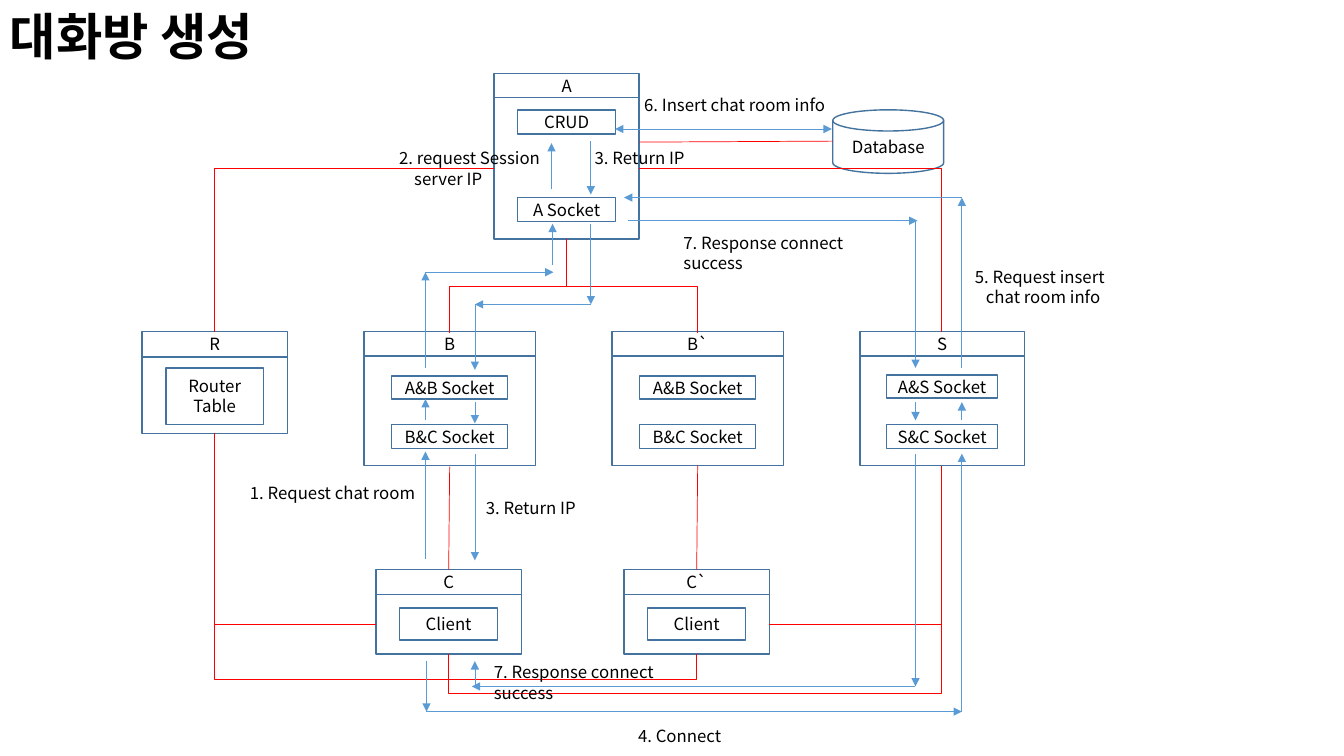
from itertools import pairwise
from lxml import etree
from pptx import Presentation
from pptx.dml.color import RGBColor
from pptx.enum import shapes, text
from pptx.oxml import ns
from pptx.util import Inches, Pt

FONT = "Noto Sans CJK KR"
BLACK = RGBColor(0x00, 0x00, 0x00)
BORDER = RGBColor(0x43, 0x73, 0x9E)
RED = RGBColor(0xFF, 0x00, 0x00)
BLUE = RGBColor(0x5B, 0x9B, 0xD5)
RECT = shapes.MSO_SHAPE.RECTANGLE
DISK = shapes.MSO_SHAPE.FLOWCHART_MAGNETIC_DISK

prs = Presentation()
prs.slide_width = Inches(13.33)
prs.slide_height = Inches(7.5)
s = prs.slides.add_slide(prs.slide_layouts[6])


def write(sp, lines, size=12, bold=False, align=text.PP_ALIGN.LEFT, indent=0):
    tf = sp.text_frame
    tf.word_wrap = True
    for i, line in enumerate(lines):
        p = tf.paragraphs[0] if i == 0 else tf.add_paragraph()
        p.alignment = align
        if i and indent:
            p._p.get_or_add_pPr().set("marL", str(Inches(indent)))
        r = p.add_run()
        r.text = line
        r.font.name = FONT
        r.font.size = Pt(size)
        r.font.bold = bold
        r.font.color.rgb = BLACK
        etree.SubElement(r._r.get_or_add_rPr(), ns.qn("a:ea"), typeface=FONT)


def link(kind, x1, y1, x2, y2, color):
    c = s.shapes.add_connector(kind, Inches(x1), Inches(y1), Inches(x2), Inches(y2))
    c.line.color.rgb = color
    c.line.width = Pt(0.5)
    etree.SubElement(c._element.spPr, ns.qn("a:effectLst"))
    return c


sp = s.shapes.add_textbox(Inches(0), Inches(0), Inches(3.08), Inches(0.71))
write(sp, ["대화방 생성"], 36, True)

b_sockets = [("A&B Socket", 3.73, 1.15, 0.23), ("B&C Socket", 4.21, 1.15, 0.24)]
s_sockets = [("A&S Socket", 3.72, 1.1, 0.23), ("S&C Socket", 4.21, 1.1, 0.24)]
client = [("Client", 6.03, 0.97, 0.32)]
nodes = [
    ("A", 4.9, 0.73, 1.44, 0.24, 1.4, [("CRUD", 1.09, 0.97, 0.24), ("A Socket", 1.96, 0.97, 0.24)]),
    ("R", 1.41, 3.29, 1.44, 0.25, 0.76, [("Router\nTable", 3.65, 0.97, 0.56)]),
    ("S", 8.53, 3.29, 1.63, 0.24, 1.09, s_sockets),
    ("B", 3.61, 3.29, 1.7, 0.24, 1.09, b_sockets),
    ("B`", 6.07, 3.29, 1.7, 0.24, 1.09, b_sockets),
    ("C", 3.73, 5.65, 1.44, 0.25, 0.59, client),
    ("C`", 6.19, 5.65, 1.44, 0.25, 0.59, client),
]
boxes = [(DISK, "Database", 8.26, 1.09, 1.1, 0.63)]
for name, x, y, w, head, body, parts in nodes:
    boxes.append((RECT, name, x, y, w, head))
    boxes.append((RECT, "", x, y + head, w, body))
    for label, top, width, height in parts:
        boxes.append((RECT, label, x + (w - width) / 2, top, width, height))

for kind, label, x, y, w, h in boxes:
    sp = s.shapes.add_shape(kind, Inches(x), Inches(y), Inches(w), Inches(h))
    sp.shadow.inherit = False
    sp.fill.background()
    sp.line.color.rgb = BORDER
    sp.line.width = Pt(1)
    tf = sp.text_frame
    tf.margin_left = tf.margin_right = tf.margin_top = tf.margin_bottom = 0
    tf.vertical_anchor = text.MSO_ANCHOR.MIDDLE
    if label:
        write(sp, label.split("\n"), align=text.PP_ALIGN.CENTER)

for line in [(4.46, 4.63, 4.45, 5.65), (6.92, 4.62, 6.91, 5.65), (6.34, 1.41, 8.26, 1.4)]:
    link(shapes.MSO_CONNECTOR.STRAIGHT, *line, RED)

corners = [
    (4.9, 1.67, 2.13, 3.29),
    (6.34, 1.67, 9.34, 3.29),
    (3.73, 6.19, 2.13, 4.3),
    (7.63, 6.19, 9.34, 4.62),
]
for corner in corners:
    c = link(shapes.MSO_CONNECTOR.ELBOW, *corner, RED)
    c._element.spPr.find(ns.qn("a:prstGeom")).set("prst", "bentConnector2")

vertical_elbows = [
    (9.34, 4.62, 4.45, 6.49, 6.88),
    (2.13, 4.3, 6.91, 6.49, 6.74),
    (5.62, 2.37, 4.46, 3.3, 2.84),
    (5.62, 2.37, 6.92, 3.3, 2.84),
]
for x1, y1, x2, y2, bend in vertical_elbows:
    cx, cy = (x1 + x2) / 2, (y1 + y2) / 2
    dx, dy = (x1 - x2) / 2, (y2 - y1) / 2
    c = link(shapes.MSO_CONNECTOR.ELBOW, cx - dy, cy - dx, cx + dy, cy + dx, RED)
    c._element.spPr.find(ns.qn("a:xfrm")).set("rot", "5400000")
    geom = c._element.spPr.find(ns.qn("a:prstGeom"))
    adjust = round((bend - y1) / (y2 - y1) * 100000)
    etree.SubElement(geom.find(ns.qn("a:avLst")), ns.qn("a:gd"), name="adj1", fmla=f"val {adjust}")

routes = [
    [(4.22, 5.55), (4.22, 4.48)],
    [(4.22, 4.17), (4.22, 3.96)],
    [(4.22, 3.65), (4.22, 2.7), (5.49, 2.7)],
    [(5.48, 2.63), (5.48, 2.22)],
    [(5.47, 1.88), (5.47, 1.42)],
    [(5.86, 1.4), (5.86, 1.93)],
    [(5.86, 2.22), (5.86, 3.02), (4.71, 3.02), (4.71, 3.67)],
    [(4.71, 3.99), (4.71, 4.2)],
    [(4.71, 4.5), (4.71, 5.56)],
    [(4.23, 6.56), (4.23, 7.06), (9.54, 7.06), (9.54, 4.5)],
    [(9.54, 4.17), (9.54, 3.99)],
    [(9.54, 3.65), (9.54, 1.96), (6.19, 1.96)],
    [(6.1, 1.28), (8.25, 1.28)],
    [(6.23, 2.19), (9.1, 2.19)],
    [(9.08, 2.19), (9.08, 3.65)],
    [(9.08, 3.99), (9.08, 4.17)],
    [(9.08, 4.5), (9.08, 6.81), (4.68, 6.81)],
    [(4.71, 6.81), (4.71, 6.56)],
]
two_way = (6.1, 1.28)
for route in routes:
    for start, end in pairwise(route):
        c = link(shapes.MSO_CONNECTOR.STRAIGHT, *start, *end, BLUE)
        ln = c.line._get_or_add_ln()
        if start == two_way:
            etree.SubElement(ln, ns.qn("a:headEnd"), type="triangle")
        etree.SubElement(ln, ns.qn("a:tailEnd"), type="triangle")

labels = [
    (["1. Request chat room"], 2.38, 4.74, 1.85, 0.3, 0, 0),
    (["3. Return IP"], 4.72, 4.89, 1.09, 0.3, 0, 0),
    (["2. request Session", "server IP"], 3.86, 1.42, 1.65, 0.5, 0.15, 0),
    (["4. Connect"], 6.23, 7.15, 1.02, 0.3, 0, 0),
    (["5. Request insert", "chat room info"], 9.57, 2.6, 1.55, 0.5, 0.11, 0),
    (["6. Insert chat room info"], 6.29, 0.89, 2.02, 0.3, 0, 0),
    (["3. Return IP"], 5.8, 1.42, 1.09, 0.3, 0, 0),
    (["7. Response connect success"], 6.68, 2.26, 2.41, 0.3, 0, 0.6),
    (["7. Response connect success"], 4.8, 6.52, 2.41, 0.3, 0, 0.6),
]
for lines, x, y, w, h, indent, right in labels:
    sp = s.shapes.add_textbox(Inches(x), Inches(y), Inches(w), Inches(h))
    sp.text_frame.margin_right = Inches(right)
    write(sp, lines, indent=indent)

prs.save("out.pptx")
